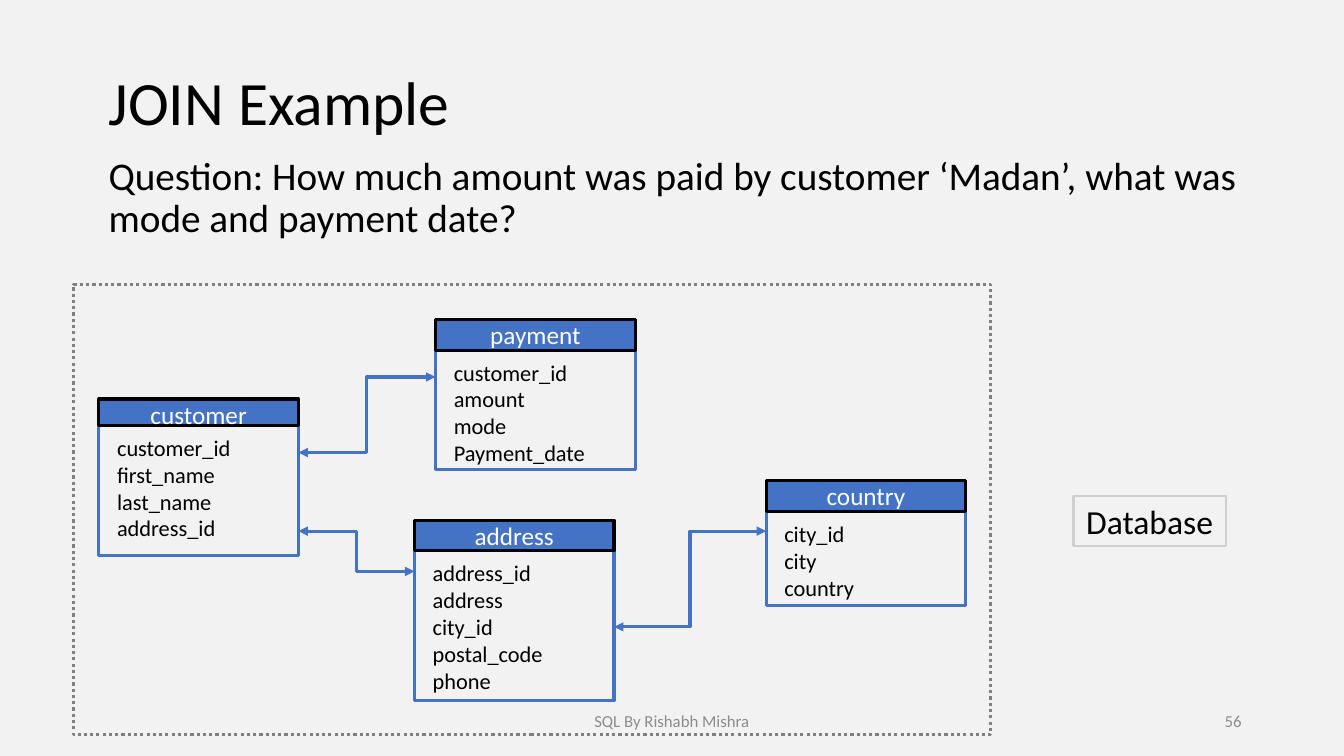
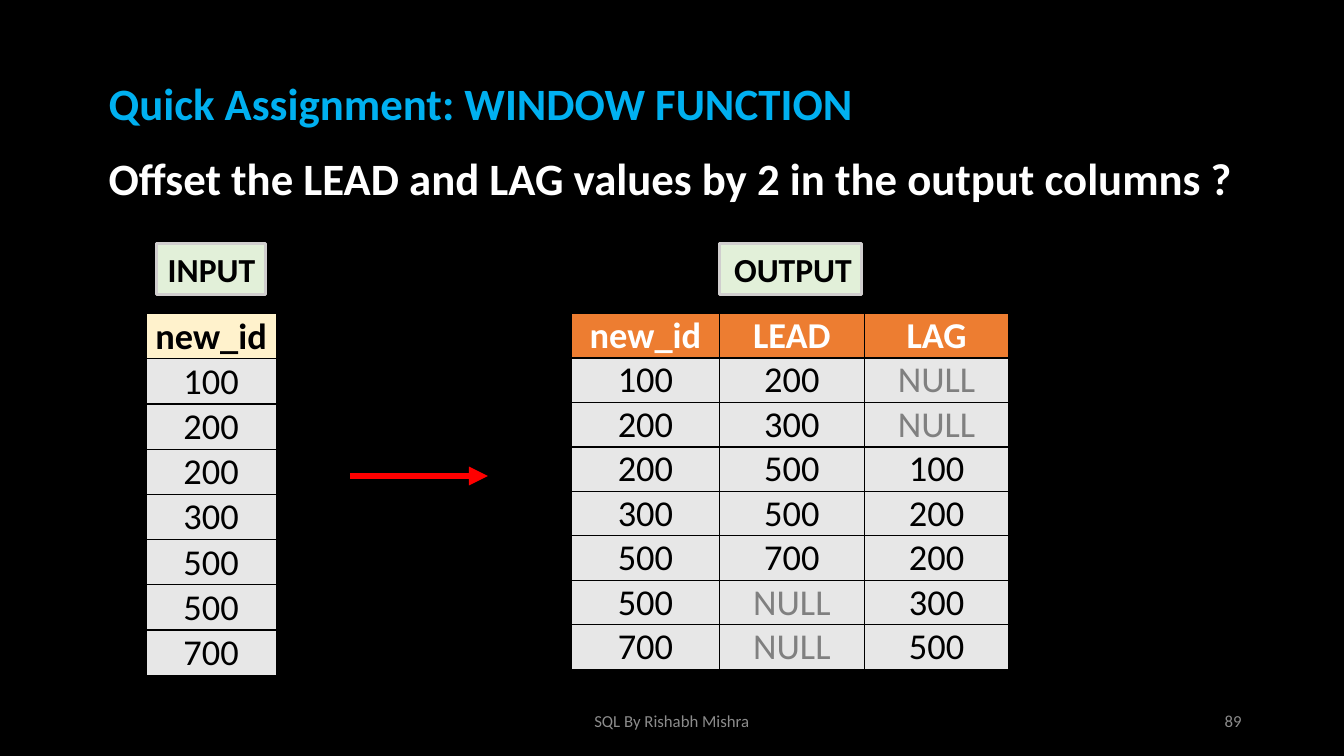
from dataclasses import dataclass
from typing import NamedTuple

from lxml.etree import SubElement
from pptx import Presentation
from pptx.dml.color import RGBColor
from pptx.enum.dml import MSO_LINE
from pptx.enum.shapes import MSO_CONNECTOR, MSO_SHAPE
from pptx.enum.text import MSO_ANCHOR, PP_ALIGN
from pptx.oxml.ns import qn
from pptx.util import Pt


@dataclass(frozen=True)
class Theme:
    """Colours, type sizes and line widths of the deck."""
    font: str = "Calibri"
    black: str = "000000"
    white: str = "FFFFFF"
    paper: str = "F2F2F2"
    blue: str = "4472C4"
    sky: str = "00B0F0"
    orange: str = "ED7D31"
    cream: str = "FFF2CC"
    mint: str = "E2F0D9"
    red: str = "FF0000"
    cell: str = "E7E7E7"
    border: str = "D0CECE"
    muted: str = "808080"
    footer: str = "8C8C8C"
    title_size: int = 44
    heading_size: int = 32
    question_size: int = 28
    table_size: int = 26
    label_size: int = 24
    entity_size: int = 18
    field_size: int = 16
    footer_size: int = 12
    line: float = 2.25
    thin: float = 1.5
    arrow: float = 4.5


class Box(NamedTuple):
    """A rectangle in points."""
    left: float
    top: float
    width: float
    height: float

    def lengths(self):
        """Return the four lengths as Pt values."""
        return [Pt(value) for value in self]


THEME = Theme()
TITLE = Box(70.5, 24.5, 824, 102)
FOOTER = Box(318, 500.4, 324, 28.8)
NUMBER = Box(678, 500.4, 216, 28.8)
CARD_WIDTH = 142.6


def color(value):
    """Turn a hex string into a colour."""
    return RGBColor.from_string(value)


def write(frame, text, size, ink, bold=False, align=PP_ALIGN.LEFT, spacing=None):
    """Fill a text frame and format all its runs."""
    frame.text = text
    for para in frame.paragraphs:
        para.alignment = align
        para.line_spacing = spacing
        for span in para.runs:
            span.font.name = THEME.font
            span.font.size = Pt(size)
            span.font.bold = bold
            span.font.color.rgb = color(ink)


def add_text(page, box, text, size, ink, anchor=MSO_ANCHOR.TOP, **style):
    """Add a wrapping text box."""
    frame = page.shapes.add_textbox(*box.lengths()).text_frame
    frame.word_wrap = True
    frame.vertical_anchor = anchor
    write(frame, text, size, ink, **style)


def add_rectangle(page, box, line, fill=None, width=THEME.line):
    """Add an outlined rectangle without shadow."""
    shape = page.shapes.add_shape(MSO_SHAPE.RECTANGLE, *box.lengths())
    shape.shadow.inherit = False
    if fill:
        shape.fill.solid()
        shape.fill.fore_color.rgb = color(fill)
    else:
        shape.fill.background()
    shape.line.color.rgb = color(line)
    shape.line.width = Pt(width)
    return shape


def add_label(page, box, text, fill=None, width=THEME.line, **style):
    """Add a bordered label that holds one line."""
    shape = add_rectangle(page, box, THEME.border, fill, width)
    shape.text_frame.word_wrap = False
    write(shape.text_frame, text, THEME.label_size, THEME.black, **style)


def add_arrow(page, kind, start, end, ink, width, ends):
    """Add a connector with triangles at the named ends."""
    connector = page.shapes.add_connector(kind, *map(Pt, (*start, *end)))
    connector.line.color.rgb = color(ink)
    connector.line.width = Pt(width)
    properties = connector._element.spPr
    for name in ends:
        SubElement(properties.find(qn("a:ln")), qn(name), type="triangle")
    SubElement(properties, qn("a:effectLst"))


def add_entity(page, box, header_height, name, fields):
    """Draw a database entity: header bar over its list of fields."""
    header = box._replace(height=header_height)
    body = box._replace(top=box.top + header_height, height=box.height - header_height)
    listing = add_rectangle(page, body, THEME.blue)
    bar = add_rectangle(page, header, THEME.black, THEME.blue)
    for shape, inset in ((listing, 6), (bar, 0)):
        frame = shape.text_frame
        frame.word_wrap = True
        frame.vertical_anchor = MSO_ANCHOR.TOP
        frame.margin_left = frame.margin_right = Pt(13)
        frame.margin_top, frame.margin_bottom = Pt(inset), 0
    write(listing.text_frame, "\n".join(fields), THEME.field_size, THEME.black)
    write(bar.text_frame, name, THEME.entity_size, THEME.white, align=PP_ALIGN.CENTER)


def add_diagram(page, box):
    """Draw the dotted database panel with its linked entities."""
    panel = add_rectangle(page, box, THEME.muted)
    panel.line.dash_style = MSO_LINE.ROUND_DOT
    entities = {
        "address": (243.4, 168.5, 129, 22,
                    ("address_id", "address", "city_id", "postal_code", "phone")),
        "country": (494.6, 140.4, 89, 22, ("city_id", "city", "country")),
        "customer": (18, 82, 112, 19,
                     ("customer_id", "first_name", "last_name", "address_id")),
        "payment": (258.5, 25.2, 107, 22,
                    ("customer_id", "amount", "mode", "Payment_date")),
    }
    for name, (left, top, height, header_height, fields) in entities.items():
        card = Box(box.left + left, box.top + top, CARD_WIDTH, height)
        add_entity(page, card, header_height, name, fields)
    links = (("customer", 120.3, "payment", 66.3),
             ("customer", 176.4, "address", 205.2),
             ("address", 244.8, "country", 176.4))
    for source, source_drop, target, target_drop in links:
        start = box.left + entities[source][0] + CARD_WIDTH, box.top + source_drop
        end = box.left + entities[target][0], box.top + target_drop
        add_arrow(page, MSO_CONNECTOR.ELBOW, start, end, THEME.blue, THEME.line,
                  ("a:headEnd", "a:tailEnd"))


def add_grid(page, left, top, widths, row_height, rows, header_fill, header_ink, anchor):
    """Add a bordered table with a coloured header row."""
    box = Box(left, top, sum(widths), row_height * len(rows))
    table = page.shapes.add_table(len(rows), len(widths), *box.lengths()).table
    for column, width in zip(table.columns, widths):
        column.width = Pt(width)
    for row_index, values in enumerate(rows):
        table.rows[row_index].height = Pt(row_height)
        is_header = row_index == 0
        for column_index, value in enumerate(values):
            cell = table.cell(row_index, column_index)
            cell.margin_left = cell.margin_right = Pt(0.5)
            cell.margin_top = cell.margin_bottom = 0
            cell.vertical_anchor = anchor
            body_ink = THEME.muted if value == "NULL" else THEME.black
            write(cell.text_frame, value, THEME.table_size,
                  header_ink if is_header else body_ink, is_header, PP_ALIGN.CENTER)
            add_borders(cell)
            cell.fill.solid()
            cell.fill.fore_color.rgb = color(header_fill if is_header else THEME.cell)


def add_borders(cell):
    """Give a cell thin black borders on all sides."""
    properties = cell._tc.get_or_add_tcPr()
    for side in ("a:lnL", "a:lnR", "a:lnT", "a:lnB"):
        line = SubElement(properties, qn(side), w=str(Pt(1)))
        SubElement(SubElement(line, qn("a:solidFill")), qn("a:srgbClr"), val=THEME.black)


def add_page(deck, background, title, number, size, ink, bold=False):
    """Start a page with background, title and footer."""
    page = deck.slides.add_slide(deck.slide_layouts[6])
    page.background.fill.solid()
    page.background.fill.fore_color.rgb = color(background)
    add_text(page, TITLE, title, size, ink, MSO_ANCHOR.MIDDLE, bold=bold, spacing=0.9)
    for box, text, align in ((FOOTER, "SQL By Rishabh Mishra", PP_ALIGN.CENTER),
                             (NUMBER, number, PP_ALIGN.RIGHT)):
        add_text(page, box, text, THEME.footer_size, THEME.footer,
                 MSO_ANCHOR.MIDDLE, align=align)
    return page


def add_join_page(deck):
    """Build the JOIN example page."""
    page = add_page(deck, THEME.paper, "JOIN Example", "56", THEME.title_size, THEME.black)
    question = ("Question: How much amount was paid by customer ‘Madan’, "
                "what was mode and payment date?")
    add_text(page, Box(70.5, 108, 846, 76), question, THEME.question_size,
             THEME.black, spacing=0.9)
    add_diagram(page, Box(52.6, 203, 655, 322))
    add_label(page, Box(766.8, 354.2, 108.7, 36), "Database", width=THEME.thin,
              align=PP_ALIGN.CENTER)


def add_window_page(deck):
    """Build the window function assignment page."""
    page = add_page(deck, THEME.black, "Quick Assignment: WINDOW FUNCTION", "89",
                    THEME.heading_size, THEME.sky, bold=True)
    add_text(page, Box(70.5, 108.7, 831.6, 54),
             "Offset the LEAD and LAG values by 2 in the output columns ?",
             THEME.heading_size, THEME.white, bold=True, spacing=0.9)
    for left, width, text in ((111.6, 77.8, "INPUT"), (514, 101.5, "OUTPUT")):
        add_label(page, Box(left, 174.2, width, 36), text, THEME.mint,
                  bold=True, align=PP_ALIGN.RIGHT)
    output_rows = (("new_id", "LEAD", "LAG"),
                   ("100", "200", "NULL"),
                   ("200", "300", "NULL"),
                   ("200", "500", "100"),
                   ("300", "500", "200"),
                   ("500", "700", "200"),
                   ("500", "NULL", "300"),
                   ("700", "NULL", "500"))
    input_rows = [row[:1] for row in output_rows]
    add_grid(page, 104.4, 224, (92.9,), 32.3, input_rows,
             THEME.cream, THEME.black, MSO_ANCHOR.BOTTOM)
    add_grid(page, 408.2, 224, (105.8, 103.4, 103.4), 31.75, output_rows,
             THEME.orange, THEME.white, MSO_ANCHOR.MIDDLE)
    add_arrow(page, MSO_CONNECTOR.STRAIGHT, (250, 340), (348.5, 340), THEME.red,
              THEME.arrow, ("a:tailEnd",))


def main():
    """Build and save the deck."""
    deck = Presentation()
    deck.slide_width, deck.slide_height = Pt(960), Pt(540)
    add_join_page(deck)
    add_window_page(deck)
    deck.save("out.pptx")


if __name__ == "__main__":
    main()
